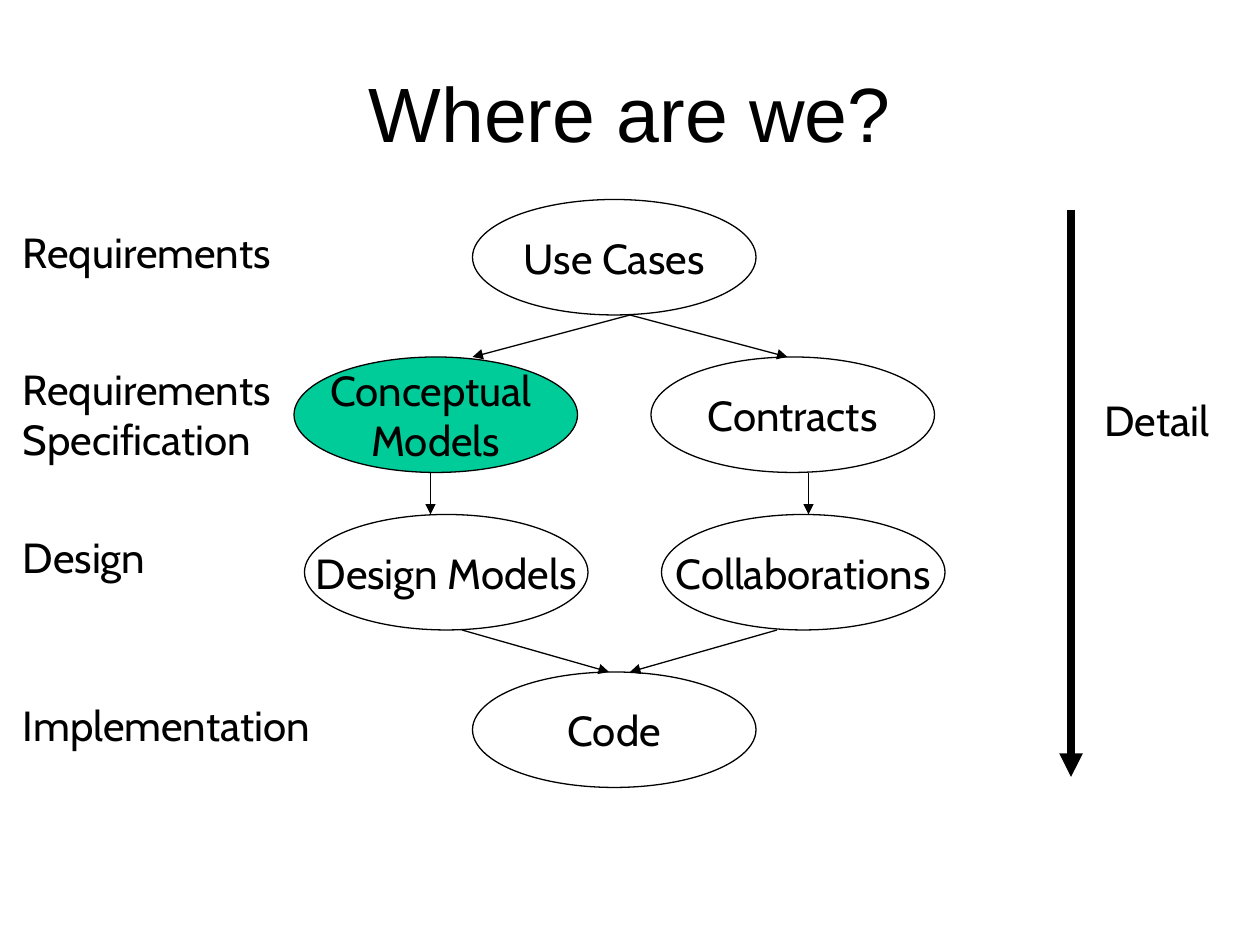
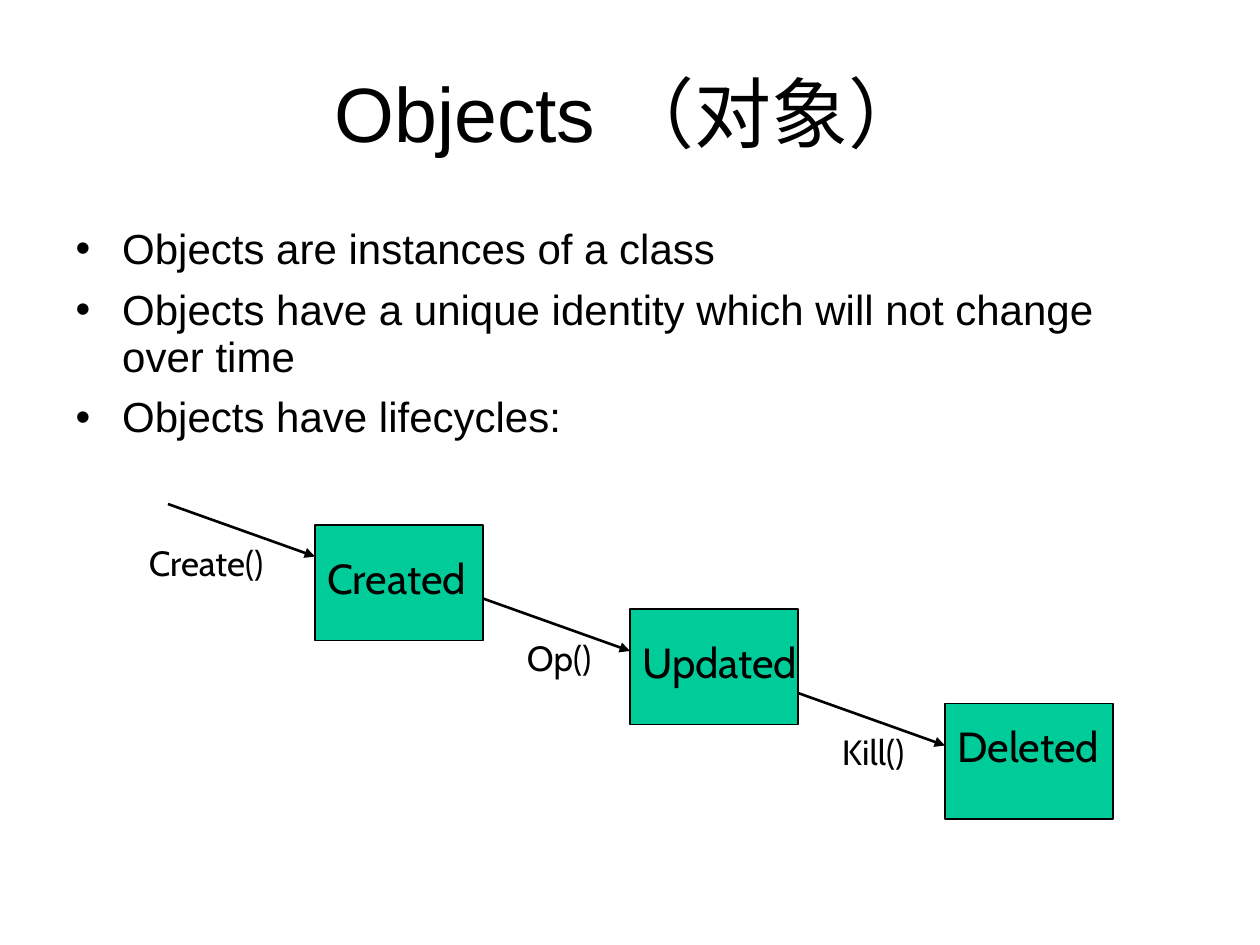
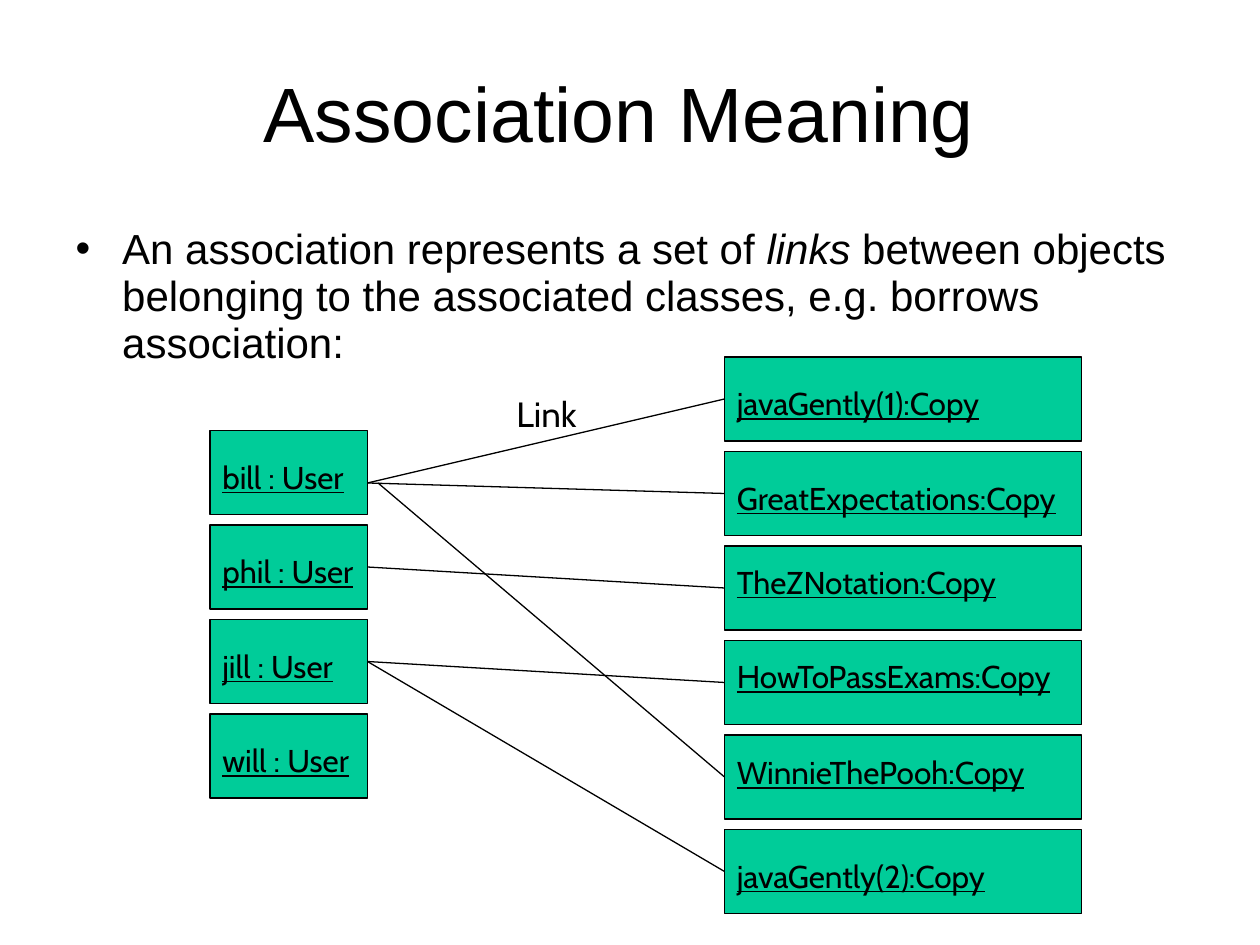
"""Builds three slides on conceptual models, object lifecycles and associations."""
from lxml import etree
from pptx import Presentation
from pptx.dml.color import RGBColor
from pptx.enum import shapes, text
from pptx.oxml.ns import qn
from pptx.util import Pt

BLACK, GREEN = "000000", "00CC99"
HEAD, BODY = "Arial", "Cabin"

OVAL = (162, 66)
OVALS = [
    ("Use Cases", 270, 114, None),
    ("Conceptual \nModels", 168, 204, GREEN),
    ("Design Models", 174, 294, None),
    ("Contracts", 372, 204, None),
    ("Collaborations", 378, 294, None),
    ("Code", 270, 384, None),
]
FLOWS = [
    (360, 180, 270, 204), (360, 180, 450, 204),
    (246, 270, 246, 294), (462, 270, 462, 294),
    (264, 360, 348, 384), (444, 360, 360, 384),
]
PHASES = [("Requirements", 126), ("Requirements Specification", 204),
          ("Design", 300), ("Implementation", 396)]

FACTS = [
    ["Objects are instances of a class"],
    ["Objects have a unique identity which will not change over time"],
    ["Objects have lifecycles:"],
]
STATES = [("Created", 300, "Create()", 78, 306),
          ("Updated", 348, "Op()", 294, 360),
          ("Deleted", 402, "Kill()", 474, 414)]

MEANING = [["An association represents a set of ", "links",
            " between objects belonging to the associated classes, "
            "e.g. borrows association:"]]
USERS = [("bill : User", 12), ("phil : User", 12),
         ("jill : User", 12), ("will : User", 12)]
COPIES = [("javaGently(1):Copy", 12), ("GreatExpectations:Copy", 12),
          ("TheZNotation:Copy", 6), ("HowToPassExams:Copy", 6),
          ("WinnieThePooh:Copy", 7), ("javaGently(2):Copy", 12)]
BILL = [(210, 0), (210, 1), (216, 4)]
LINKS = [(1, 2), (2, 5), (2, 3)]


def paint(code):
    return RGBColor.from_string(code)


def style(par, size, name=BODY, line=False):
    font = par.font
    font.size, font.name = Pt(size), name
    font.color.rgb = paint(BLACK)
    if line:
        font.underline = True


def start(deck, title, facts=None):
    slide = deck.slides.add_slide(deck.slide_layouts[1 if facts else 5])
    head = slide.shapes.title
    place(head, 36, 21.6, 648, 90)
    head.text_frame.text = title
    head.text_frame.vertical_anchor = text.MSO_ANCHOR.MIDDLE
    par = head.text_frame.paragraphs[0]
    par.alignment, par.line_spacing = text.PP_ALIGN.CENTER, 0.93
    style(par, 44, HEAD)
    if facts:
        bullets(slide.placeholders[1], facts)
    return slide


def place(shape, x, y, w, h):
    shape.left, shape.top, shape.width, shape.height = map(Pt, (x, y, w, h))


def bullets(body, facts):
    place(body, 36, 126, 648, 356.4)
    frame = body.text_frame
    frame.auto_size = text.MSO_AUTO_SIZE.NONE
    for i, parts in enumerate(facts):
        par = frame.add_paragraph() if i else frame.paragraphs[0]
        props = par._p.get_or_add_pPr()
        props.set("marL", str(Pt(26.64)))
        props.set("indent", str(-Pt(26.64)))
        par.line_spacing, par.space_before = 0.93, Pt(8 if i else 0)
        etree.SubElement(props, qn("a:buChar")).set("char", "•")
        style(par, 24, HEAD)
        for j, part in enumerate(parts):
            run = par.add_run()
            run.text = part
            if j % 2:
                run.font.italic = True


def block(slide, kind, x, y, w, h, fill=GREEN):
    shape = slide.shapes.add_shape(kind, *map(Pt, (x, y, w, h)))
    shape.shadow.inherit = False
    if fill:
        shape.fill.solid()
        shape.fill.fore_color.rgb = paint(fill)
    else:
        shape.fill.background()
    shape.line.color.rgb, shape.line.width = paint(BLACK), Pt(0.75)
    return shape


def label(slide, words, x, y, w, size=24, line=False):
    box = slide.shapes.add_textbox(*map(Pt, (x, y, w, size * 1.2 + 7.2)))
    frame = box.text_frame
    frame.word_wrap = True
    frame.auto_size = text.MSO_AUTO_SIZE.SHAPE_TO_FIT_TEXT
    frame.text = words
    style(frame.paragraphs[0], size, line=line)


def stroke(slide, x1, y1, x2, y2, width=0.75, arrow=True):
    wire = slide.shapes.add_connector(
        shapes.MSO_CONNECTOR.STRAIGHT, *map(Pt, (x1, y1, x2, y2)))
    wire.line.color.rgb, wire.line.width = paint(BLACK), Pt(width)
    if arrow:
        tail = etree.SubElement(wire.line._get_or_add_ln(), qn("a:tailEnd"))
        tail.set("type", "triangle")
    etree.SubElement(wire._element.spPr, qn("a:effectLst"))
    return wire


def stack(slide, items, x, y, w, room):
    boxes = []
    for i, (words, drop) in enumerate(items):
        top = y + 54 * i
        boxes.append(block(slide, shapes.MSO_SHAPE.RECTANGLE, x, top, w, 48))
        label(slide, words, x, top + drop, room, 18, True)
    return boxes


def where(deck):
    slide = start(deck, "Where are we?")
    for words, x, y, fill in OVALS:
        frame = block(slide, shapes.MSO_SHAPE.OVAL, x, y, *OVAL, fill).text_frame
        frame.text, frame.word_wrap = words, False
        frame.vertical_anchor = text.MSO_ANCHOR.MIDDLE
        for par in frame.paragraphs:
            par.alignment = text.PP_ALIGN.CENTER
            style(par, 24)
    for flow in FLOWS:
        stroke(slide, *flow)
    for words, y in PHASES:
        label(slide, words, 6, y, 192)
    stroke(slide, 612, 120, 612, 444, 4.5)
    label(slide, "Detail", 624, 222, 96)


def objects(deck):
    slide = start(deck, "Objects （对象）", FACTS)
    for i, (state, top, call, x, y) in enumerate(STATES):
        left = 180 * (i + 1)
        block(slide, shapes.MSO_SHAPE.RECTANGLE, left, top, 96, 66)
        label(slide, state, left, 312 + 48 * i, 114)
        tip = 318 + 54 * i
        stroke(slide, left - 84, tip - 30, left, tip, 1.5)
        label(slide, call, x, y, 108, 20)


def meaning(deck):
    slide = start(deck, "Association Meaning ", MEANING)
    users = stack(slide, USERS, 120, 246, 90, 108)
    copies = stack(slide, COPIES, 414, 204, 204, 210)
    for x, copy in BILL:
        wire = stroke(slide, x, 276, 414, 276, arrow=False)
        wire.end_connect(copies[copy], 1)
    for user, copy in LINKS:
        wire = stroke(slide, 210, 276, 414, 276, arrow=False)
        wire.begin_connect(users[user], 3)
        wire.end_connect(copies[copy], 1)
    label(slide, "Link", 288, 221, 96, 20)


def main():
    deck = Presentation()
    deck.slide_width, deck.slide_height = Pt(720), Pt(540)
    for build in (where, objects, meaning):
        build(deck)
    deck.save("out.pptx")


if __name__ == "__main__":
    main()
